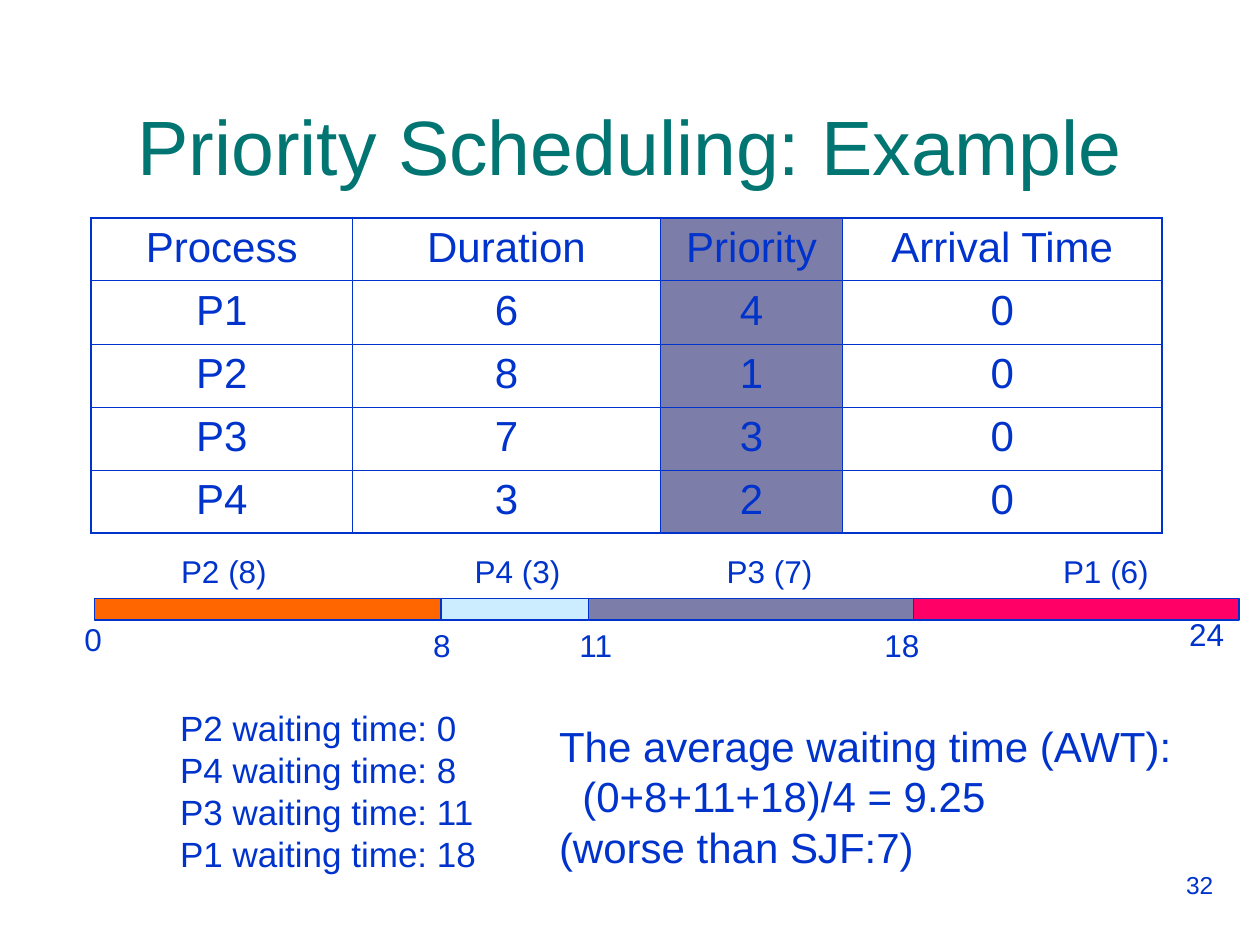
"""Build the priority scheduling example slide."""
from lxml import etree
from pptx import Presentation
from pptx.dml.color import RGBColor
from pptx.enum.dml import MSO_LINE
from pptx.enum.shapes import MSO_CONNECTOR, MSO_SHAPE
from pptx.enum.text import MSO_ANCHOR, PP_ALIGN
from pptx.oxml.ns import qn
from pptx.util import Cm, Pt

LEFT, CENTER, RIGHT = PP_ALIGN.LEFT, PP_ALIGN.CENTER, PP_ALIGN.RIGHT
TOP, MIDDLE = MSO_ANCHOR.TOP, MSO_ANCHOR.MIDDLE
DASH = MSO_LINE.DASH
RECTANGLE = MSO_SHAPE.RECTANGLE
STRAIGHT = MSO_CONNECTOR.STRAIGHT
BLUE, TEAL, SLATE = "0033CC", "007572", "7D7DA9"


def color(hex_string):
    return RGBColor.from_string(hex_string)


def add_text(box, lines, size, hex_string=BLUE, align=LEFT, anchor=TOP, wrap=False):
    shape = slide.shapes.add_textbox(*[Cm(length) for length in box])
    frame = shape.text_frame
    for name, value in {"word_wrap": wrap, "vertical_anchor": anchor}.items():
        setattr(frame, name, value)
    frame.text = "\n".join(lines)
    for paragraph in frame.paragraphs:
        paragraph.alignment = align
        for name, value in {"name": "Arial", "size": Pt(size)}.items():
            setattr(paragraph.font, name, value)
        paragraph.font.color.rgb = color(hex_string)
    return shape


presentation = Presentation()
presentation.slide_width, presentation.slide_height = Cm(25.4), Cm(19.05)
slide = presentation.slides.add_slide(presentation.slide_layouts[6])

add_text((18.36, 17.42, 6.35, 1.32), ["32"], 14, align=RIGHT, wrap=True)
add_text((0.84, 1.32, 23.72, 3.18), ["Priority Scheduling: Example"], 44,
         TEAL, CENTER, MIDDLE, True)

processes = [
    ("Process", "Duration", "Priority", "Arrival Time"),
    ("P1", "6", "4", "0"),
    ("P2", "8", "1", "0"),
    ("P3", "7", "3", "0"),
    ("P4", "3", "2", "0"),
]
column_widths = [5.28, 6.2, 3.68, 6.43]
last_row, last_column = len(processes) - 1, len(column_widths) - 1
table = slide.shapes.add_table(len(processes), len(column_widths), Cm(1.83), Cm(4.39),
                               Cm(sum(column_widths)), Cm(6.35)).table
table.first_row = table.horz_banding = False
for column, width in zip(table.columns, column_widths):
    column.width = Cm(width)
for row_index, values in enumerate(processes):
    table.rows[row_index].height = Cm(1.27)
    for column_index, value in enumerate(values):
        cell = table.cell(row_index, column_index)
        cell.text = value
        paragraph = cell.text_frame.paragraphs[0]
        paragraph.alignment = CENTER
        for name, setting in {"name": "Arial", "size": Pt(24)}.items():
            setattr(paragraph.font, name, setting)
        paragraph.font.color.rgb = color(BLUE)
        outer_edges = {
            "a:lnL": column_index == 0,
            "a:lnR": column_index == last_column,
            "a:lnT": row_index == 0,
            "a:lnB": row_index == last_row,
        }
        properties = cell._tc.get_or_add_tcPr()
        for tag, is_outer in outer_edges.items():
            border = etree.SubElement(properties, qn(tag), w=str(Pt(1.08 if is_outer else 0.45)))
            fill = etree.SubElement(border, qn("a:solidFill"))
            etree.SubElement(fill, qn("a:srgbClr"), val=BLUE)
        if processes[0][column_index] == "Priority":
            cell.fill.solid()
            cell.fill.fore_color.rgb = color(SLATE)
        else:
            cell.fill.background()

timeline = slide.shapes.add_connector(STRAIGHT, Cm(1.91), Cm(12.27), Cm(24.77), Cm(12.27))
for name, value in {"width": Pt(0.75), "dash_style": DASH}.items():
    setattr(timeline.line, name, value)
timeline.line.color.rgb = color(BLUE)
etree.SubElement(timeline._element.spPr, qn("a:effectLst"))

bursts = [
    ("P2 (8)", 3.4, 6.98, "FF6600"),
    ("P4 (3)", 9.32, 2.97, "CCECFF"),
    ("P3 (7)", 14.4, 6.56, SLATE),
    ("P1 (6)", 21.18, 6.56, "FF0066"),
]
bar_left = 1.91
for label, label_left, width, hex_string in bursts:
    bar = slide.shapes.add_shape(RECTANGLE, Cm(bar_left), Cm(12.07), Cm(width), Cm(0.43))
    bar.shadow.inherit = False
    bar.fill.solid()
    bar.fill.fore_color.rgb = color(hex_string)
    bar.line.width = Pt(0.75)
    bar.line.color.rgb = color(BLUE)
    add_text((label_left, 11, 2.24, 1.02), [label], 18)
    bar_left += width

times = [
    ("0", 1.45, 12.37, 0.86),
    ("8", 8.48, 12.5, 0.86),
    ("11", 11.43, 12.5, 1.22),
    ("18", 17.58, 12.5, 1.22),
    ("24", 23.72, 12.27, 1.22),
]
for time, left, top, width in times:
    add_text((left, top, width, 1.02), [time], 18)

waits = {"P2": 0, "P4": 8, "P3": 11, "P1": 18}
add_text((3.38, 14.12, 6.48, 3.66),
         [f"{process} waiting time: {wait}" for process, wait in waits.items()], 20)
average = add_text((11.02, 14.4, 13.11, 3.3), [
    "The average waiting time (AWT):",
    "(0+8+11+18)/4 = 9.25",
    "(worse than SJF:7)",
], 24)
formula = average.text_frame.paragraphs[1]
formula._p.get_or_add_pPr().set("marL", str(Cm(0.47)))

presentation.save("out.pptx")
